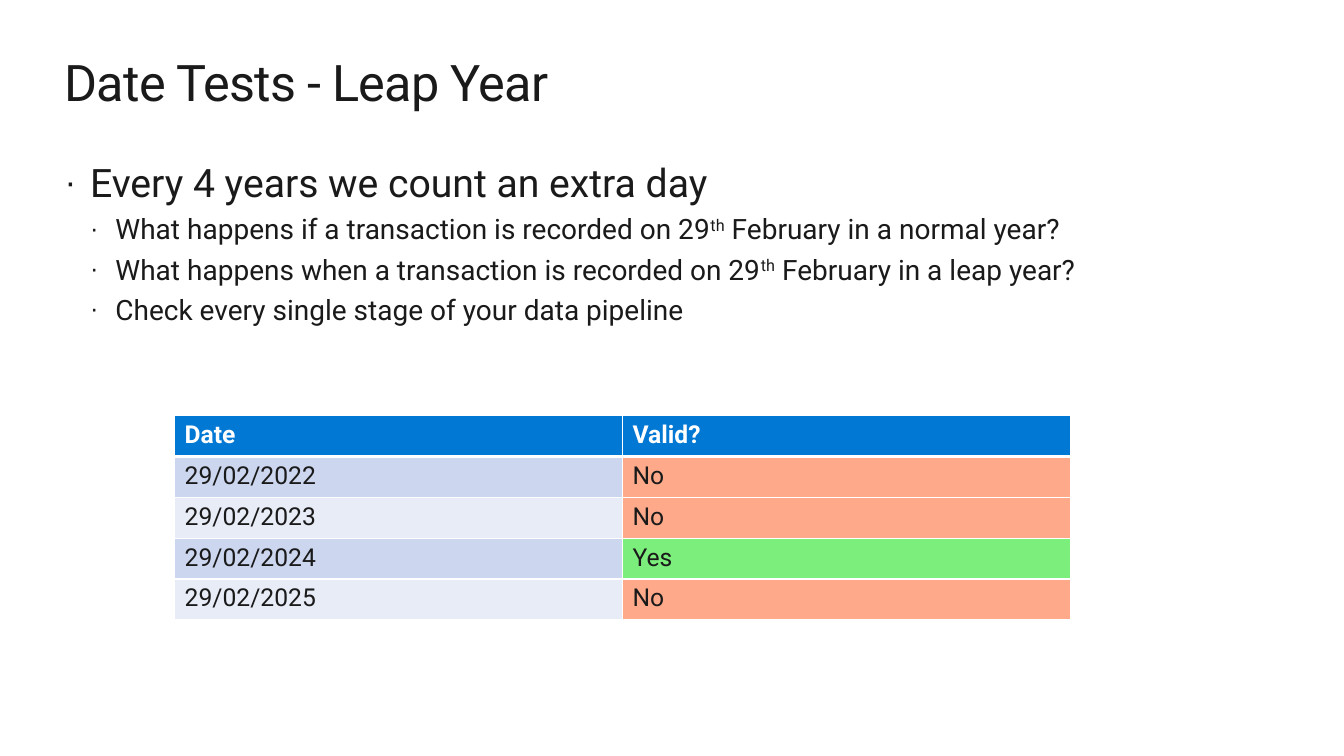
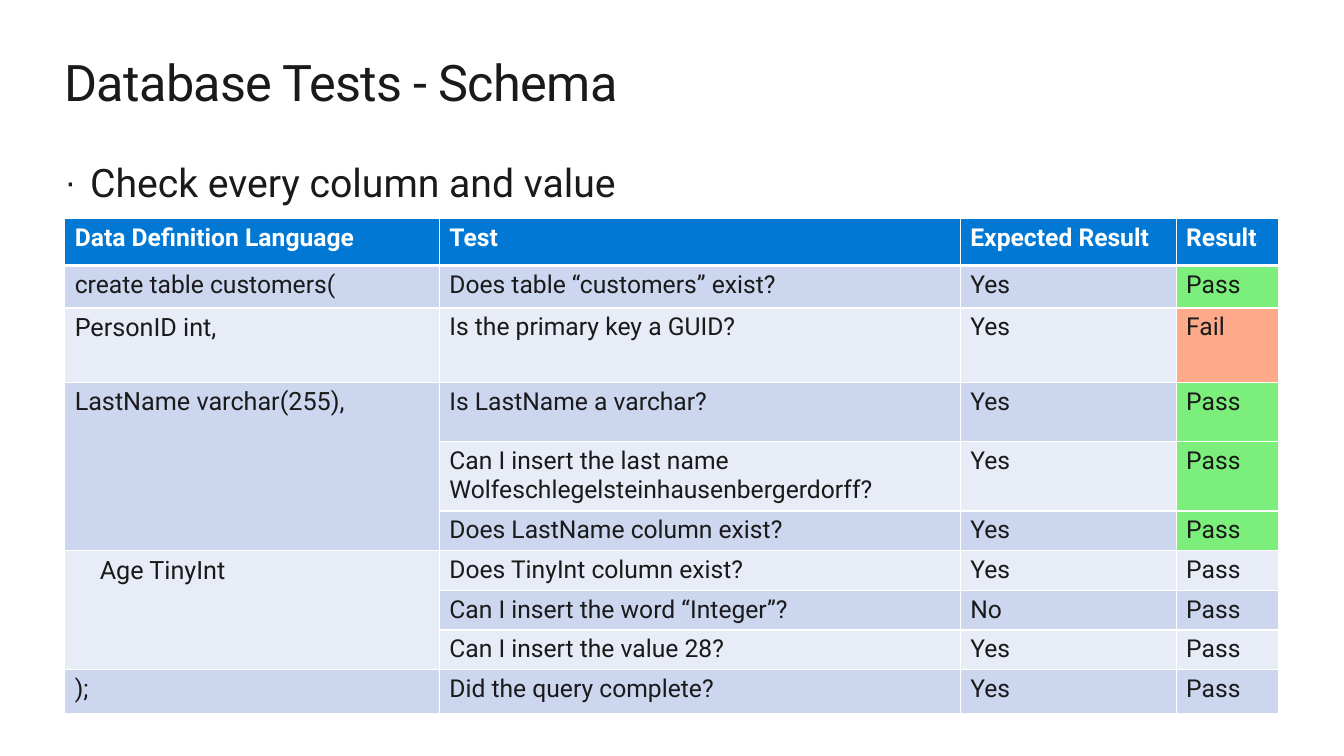
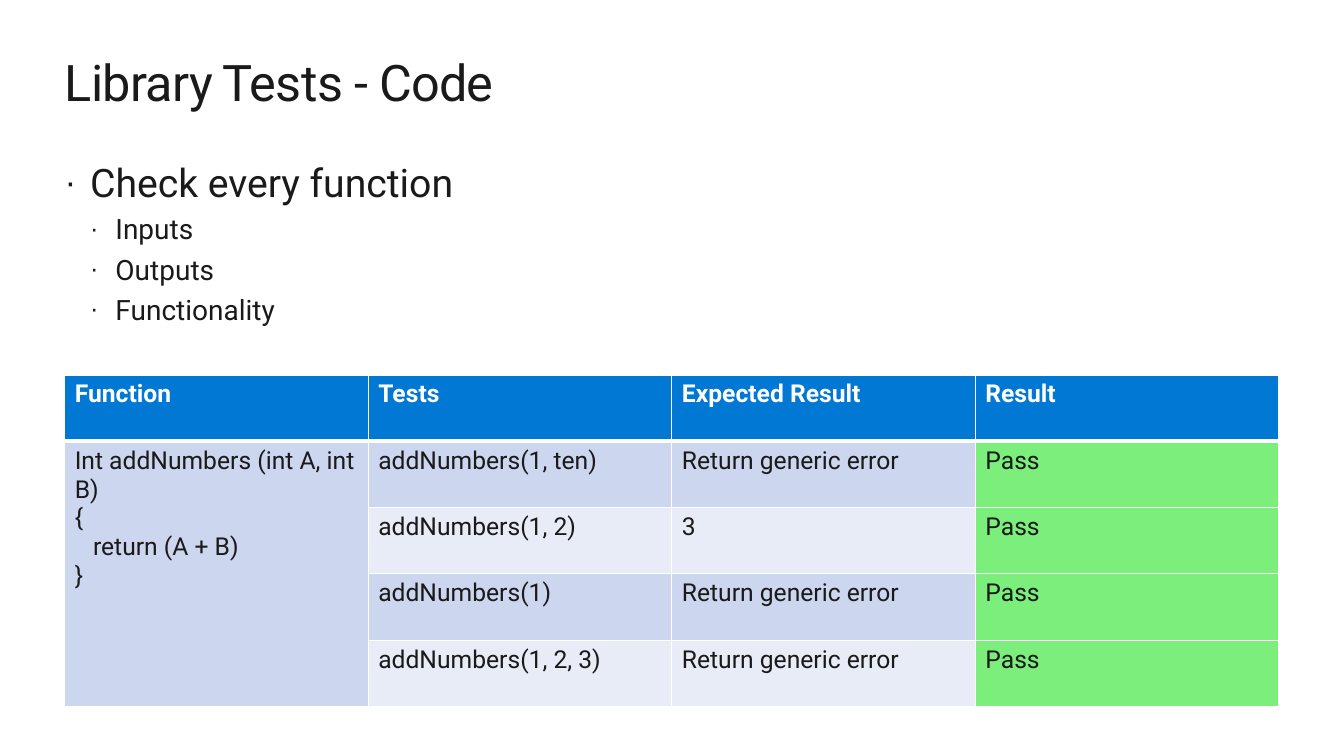
from lxml import etree
from pptx import Presentation
from pptx.dml.color import RGBColor
from pptx.enum import text
from pptx.oxml import ns
from pptx.util import Cm, Pt

FONT = "Roboto"
INK, WHITE, BLUE = "1A1A1A", "FFFFFF", "0078D4"
BANDS = ("CCD6EF", "E7ECF7")
GREEN, RED = "7CEE7C", "FEAA8A"
VERDICT_FILLS = {"Yes": GREEN, "Pass": GREEN, "No": RED, "Fail": RED}
LEFT, WIDTH = 1.63, 30.6
TABLE_SIZE, CODE_SIZE = 17.6, 18
BULLET_STEP = 0.64


def color(hex_string):
    return RGBColor.from_string(hex_string)


def add_xml(parent, tag, **attributes):
    return etree.SubElement(parent, ns.qn(tag), attributes)


def style(paragraph, size, hex_string=INK, bold=False):
    for run in paragraph.runs:
        run.font.name = FONT
        run.font.size = Pt(size)
        run.font.bold = bold
        run.font.color.rgb = color(hex_string)


def add_text_frame(slide, left, top, width, height):
    box = slide.shapes.add_textbox(Cm(left), Cm(top), Cm(width), Cm(height))
    frame = box.text_frame
    frame.word_wrap = True
    frame.margin_left = frame.margin_top = 0
    frame.margin_right = frame.margin_bottom = 0
    return frame


def add_title(slide, title):
    frame = add_text_frame(slide, LEFT, 1.27, WIDTH, 1.55)
    frame.vertical_anchor = text.MSO_ANCHOR.MIDDLE
    frame.text = title
    paragraph = frame.paragraphs[0]
    style(paragraph, 36)
    paragraph.runs[0].font._element.set("spc", "-50")


def add_bullet(paragraph, words, level):
    """Fill a bullet paragraph; words between carets are raised."""
    for index, part in enumerate(words.split("^")):
        run = paragraph.add_run()
        run.text = part
        if index % 2:
            run.font._element.set("baseline", "30000")
    size = 20 if level else 28
    style(paragraph, size)
    paragraph.level = level
    paragraph.space_before = Pt(round(size * 0.234, 1))
    properties = paragraph._p.get_or_add_pPr()
    properties.set("marL", str(Cm(BULLET_STEP * (level + 1))))
    properties.set("indent", str(-Cm(BULLET_STEP)))
    add_xml(properties, "a:buSzPct", val="90000")
    add_xml(properties, "a:buFont", typeface="Arial")
    add_xml(properties, "a:buChar", char="·")


def add_bullets(slide, heading, points=()):
    frame = add_text_frame(slide, LEFT, 3.99, WIDTH, 1.2 + 1.02 * len(points))
    add_bullet(frame.paragraphs[0], heading, 0)
    for point in points:
        add_bullet(frame.add_paragraph(), point, 1)


def add_borders(cell, top, bottom):
    """Draw white cell borders; top and bottom are widths in points."""
    properties = cell._tc.get_or_add_tcPr()
    for tag, width in (("a:lnL", 1), ("a:lnR", 1), ("a:lnT", top), ("a:lnB", bottom)):
        line = add_xml(properties, tag, w=str(Pt(width)))
        add_xml(add_xml(line, "a:solidFill"), "a:srgbClr", val=WHITE)


def fill_cell(cell, words, fill, size, hex_string, bold, indent):
    """Write a cell; a line that starts with a tab is indented."""
    cell.fill.solid()
    cell.fill.fore_color.rgb = color(fill)
    frame = cell.text_frame
    for index, line in enumerate(words.split("\n")):
        paragraph = frame.add_paragraph() if index else frame.paragraphs[0]
        paragraph.text = line.lstrip("\t")
        style(paragraph, size, hex_string, bold)
        if line.startswith("\t"):
            paragraph._p.get_or_add_pPr().set("marL", str(Cm(indent)))


def add_test_table(slide, left, top, widths, heights, rows,
                   graded_rows, code_rows=(), indent=0.5):
    """Place a table; None joins a cell to the one above it."""
    frame = slide.shapes.add_table(len(rows), len(widths), Cm(left), Cm(top),
                                   Cm(sum(widths)), Cm(sum(heights)))
    table = frame.table
    for column, width in zip(table.columns, widths):
        column.width = Cm(width)
    for row, height in zip(table.rows, heights):
        row.height = Cm(height)
    last = len(widths) - 1
    origins = {}
    for r, row in enumerate(rows):
        for c, words in enumerate(row):
            cell = table.cell(r, c)
            add_borders(cell, 3 if r == 1 else 1, 3 if r == 0 else 1)
            if words is None:
                origins[c] = (origins[c][0], r)
                continue
            merge_column(table, c, origins.get(c))
            origins[c] = (r, r)
            header = r == 0
            fill = BLUE if header else BANDS[(r - 1) % 2]
            if c == last and 0 < r <= graded_rows:
                fill = VERDICT_FILLS[words]
            size = CODE_SIZE if c == 0 and r in code_rows else TABLE_SIZE
            fill_cell(cell, words, fill, size, WHITE if header else INK, header, indent)
    for c, span in origins.items():
        merge_column(table, c, span)


def merge_column(table, column, span):
    if span and span[1] > span[0]:
        table.cell(span[0], column).merge(table.cell(span[1], column))


def add_slide(presentation, title, heading, points=()):
    slide = presentation.slides.add_slide(presentation.slide_layouts[6])
    add_title(slide, title)
    add_bullets(slide, heading, points)
    return slide


def build_leap_year(presentation):
    slide = add_slide(presentation, "Date Tests - Leap Year",
                      "Every 4 years we count an extra day", (
        "What happens if a transaction is recorded on 29^th^ February in a normal year?",
        "What happens when a transaction is recorded on 29^th^ February in a leap year?",
        "Check every single stage of your data pipeline",
    ))
    rows = [
        ("Date", "Valid?"),
        ("29/02/2022", "No"),
        ("29/02/2023", "No"),
        ("29/02/2024", "Yes"),
        ("29/02/2025", "No"),
    ]
    add_test_table(slide, 4.4, 10.47, [11.29] * 2, [1.03] * 5, rows, graded_rows=4)


def build_schema(presentation):
    slide = add_slide(presentation, "Database Tests - Schema",
                      "Check every column and value")
    rows = [
        ("Data Definition Language", "Test", "Expected Result", "Result"),
        ("create table customers(", "Does table “customers” exist?", "Yes", "Pass"),
        ("PersonID int,", "Is the primary key a GUID?", "Yes", "Fail"),
        ("LastName varchar(255),", "Is LastName a varchar?", "Yes", "Pass"),
        (None, "Can I insert the last name Wolfeschlegelsteinhausenbergerdorff?",
         "Yes", "Pass"),
        (None, "Does LastName column exist?", "Yes", "Pass"),
        ("\tAge TinyInt", "Does TinyInt column exist?", "Yes", "Pass"),
        (None, "Can I insert the word “Integer”?", "No", "Pass"),
        (None, "Can I insert the value 28?", "Yes", "Pass"),
        (");", "Did the query complete?", "Yes", "Pass"),
    ]
    heights = [1.18, 1.07, 1.88, 1.49, 1.73] + [0.99] * 4 + [1.11]
    add_test_table(slide, LEFT, 5.51, [9.44, 13.13, 5.44, 2.59], heights, rows,
                   graded_rows=5, code_rows=(2, 3, 6), indent=0.63)


def build_library(presentation):
    slide = add_slide(presentation, "Library Tests - Code", "Check every function",
                      ("Inputs", "Outputs", "Functionality"))
    rows = [
        ("Function", "Tests", "Expected Result", "Result"),
        ("Int addNumbers (int A, int B)\n{\n\treturn (A + B)\n}",
         "addNumbers(1, ten)", "Return generic error", "Pass"),
        (None, "addNumbers(1, 2)", "3", "Pass"),
        (None, "addNumbers(1)", "Return generic error", "Pass"),
        (None, "addNumbers(1, 2, 3)", "Return generic error", "Pass"),
    ]
    add_test_table(slide, LEFT, 9.45, [WIDTH / 4] * 4, [1.67] * 5, rows,
                   graded_rows=4, indent=0.46)


def main():
    presentation = Presentation()
    presentation.slide_width = Cm(33.87)
    presentation.slide_height = Cm(19.05)
    build_leap_year(presentation)
    build_schema(presentation)
    build_library(presentation)
    presentation.save("out.pptx")


if __name__ == "__main__":
    main()
